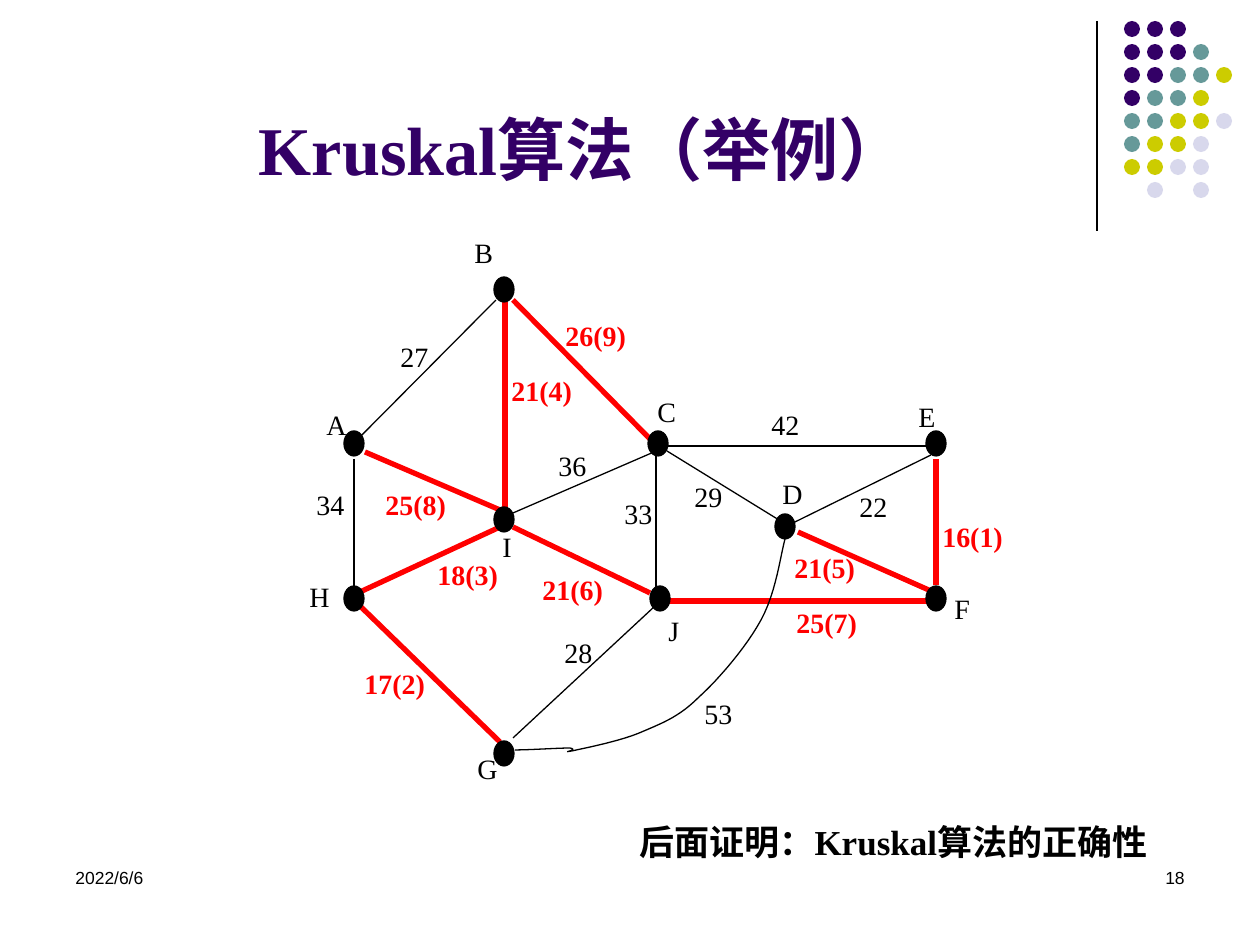
from lxml import etree
from pptx import Presentation
from pptx.dml.color import RGBColor
from pptx.enum.shapes import MSO_CONNECTOR, MSO_SHAPE
from pptx.enum.text import MSO_ANCHOR, PP_ALIGN
from pptx.oxml.ns import qn
from pptx.util import Emu, Pt

PX = 914400 // 126
OVAL, CALLOUT = MSO_SHAPE.OVAL, MSO_SHAPE.ROUNDED_RECTANGULAR_CALLOUT
STRAIGHT = MSO_CONNECTOR.STRAIGHT
LEFT, CENTER, RIGHT, JUSTIFY = PP_ALIGN.LEFT, PP_ALIGN.CENTER, PP_ALIGN.RIGHT, PP_ALIGN.JUSTIFY
TOP, BOTTOM = MSO_ANCHOR.TOP, MSO_ANCHOR.BOTTOM

SERIF, SANS = "Times New Roman", "Arial"
BLACK, RED, PURPLE = "000000", "FF0000", "330066"

# Dot pattern: one letter per dot, one string per row
DOT_COLORS = {"p": PURPLE, "t": "669999", "y": "CCCC00", "l": "D8D8EC"}
DOT_ROWS = ["ppp", "pppt", "pptty", "ptty", "ttyyl", "tyyl", "yyll", " l l"]
DOT_LEFT, DOT_TOP, DOT_PITCH, DOT_SIZE = 1124, 21, 23, 16

# Graph nodes: name, left and top of the dot, box of the name
NODE_WIDTH, NODE_HEIGHT = 20, 25
NODES = [
    ("A", (344, 431), (314, 401, 48, 57)),
    ("B", (494, 277), (462, 229, 87, 83)),
    ("C", (648, 431), (645, 388, 49, 49)),
    ("D", (775, 514), (770, 470, 55, 44)),
    ("E", (926, 431), (906, 393, 43, 44)),
    ("F", (926, 586), (942, 585, 40, 43)),
    ("G", (494, 741), (465, 745, 34, 49)),
    ("H", (344, 586), (297, 573, 45, 54)),
    ("I", (494, 507), (490, 523, 42, 50)),
    ("J", (650, 586), (656, 607, 42, 50)),
]

# Graph edges: weight (with its turn, if chosen for the tree), ends, box of the weight
EDGES = [
    ("27", (359, 438, 496, 300), (388, 333, 57, 52)),
    ("34", (354, 459, 354, 596), (304, 481, 54, 43)),
    ("26(9)", (513, 300, 651, 440), (553, 312, 125, 45)),
    ("17(2)", (360, 606, 500, 742), (352, 660, 112, 50)),
    ("28", (513, 738, 654, 607), (552, 629, 54, 52)),
    ("33", (656, 597, 656, 455), (612, 490, 59, 53)),
    ("25(8)", (365, 452, 500, 510), (373, 481, 88, 48)),
    ("18(3)", (360, 592, 500, 527), (425, 551, 96, 53)),
    ("36", (513, 513, 654, 452), (546, 442, 58, 54)),
    ("21(6)", (513, 527, 650, 593), (530, 566, 95, 50)),
    ("21(4)", (505, 302, 505, 510), (499, 367, 142, 54)),
    ("42", (667, 446, 926, 446), (759, 401, 66, 58)),
    ("25(7)", (669, 601, 929, 601), (784, 599, 93, 58)),
    ("16(1)", (936, 585, 936, 459), (930, 513, 103, 48)),
    ("29", (667, 451, 779, 520), (682, 473, 106, 92)),
    ("22", (793, 523, 931, 455), (847, 483, 54, 52)),
    ("21(5)", (798, 532, 931, 591), (782, 544, 95, 42)),
]

# Curved edge from D to G: start, then two control points and an end per segment
CURVE_LABEL = ("53", (692, 690, 63, 57))
CURVE_START = (785, 539)
CURVE_SEGMENTS = [
    ((781, 553), (776, 593), (761, 620)),
    ((747, 646), (719, 679), (699, 697)),
    ((680, 716), (665, 722), (644, 731)),
    ((622, 741), (585, 748), (572, 751)),
    ((559, 753), (580, 750), (570, 748)),
    ((561, 748), (527, 750), (515, 750)),
]
CURVE_STEPS = 12


def rgb(color):
    return RGBColor.from_string(color)


def px(*values):
    return [Emu(value * PX) for value in values]


def write(shape, text, size, color=BLACK, bold=False, font=SERIF,
          align=JUSTIFY, anchor=TOP, wrap=True):
    frame = shape.text_frame
    frame.text = text
    frame.word_wrap = wrap
    frame.vertical_anchor = anchor
    paragraph = frame.paragraphs[0]
    paragraph.alignment = align
    run_font = paragraph.runs[0].font
    run_font.name, run_font.size, run_font.bold = font, Pt(size), bold
    run_font.color.rgb = rgb(color)


def add_text(slide, box, text, size, **style):
    write(slide.shapes.add_textbox(*px(*box)), text, size, **style)


def add_line(slide, ends, color=BLACK, width=0.75):
    line = slide.shapes.add_connector(STRAIGHT, *px(*ends))
    line.line.color.rgb = rgb(color)
    line.line.width = Pt(width)
    etree.SubElement(line._element.spPr, qn("a:effectLst"))


def add_oval(slide, box, color, outlined=False):
    oval = slide.shapes.add_shape(OVAL, *px(*box))
    oval.shadow.inherit = False
    oval.fill.solid()
    oval.fill.fore_color.rgb = rgb(color)
    if outlined:
        oval.line.color.rgb = rgb(color)
        oval.line.width = Pt(0.75)
    else:
        oval.line.fill.background()


def curve_points(start, segments):
    """Points along a chain of cubic Bézier segments."""
    points = [start]
    for first, second, end in segments:
        for step in range(1, CURVE_STEPS + 1):
            t = step / CURVE_STEPS
            u = 1 - t
            points.append(tuple(
                u**3 * a + 3 * u * u * t * b + 3 * u * t * t * c + t**3 * d
                for a, b, c, d in zip(start, first, second, end)))
        start = end
    return points


def add_curve(slide):
    points = [(round(x * PX), round(y * PX))
              for x, y in curve_points(CURVE_START, CURVE_SEGMENTS)]
    builder = slide.shapes.build_freeform(*points[0])
    builder.add_line_segments(points[1:], close=False)
    curve = builder.convert_to_shape()
    curve.shadow.inherit = False
    curve.fill.background()
    curve.line.color.rgb = rgb(BLACK)
    curve.line.width = Pt(0.75)


def add_graph(slide):
    for weight, ends, box in EDGES:
        chosen = "(" in weight
        color = RED if chosen else BLACK
        add_line(slide, ends, color, 3 if chosen else 0.75)
        add_text(slide, box, weight, 16, color=color, bold=chosen)
    add_curve(slide)
    weight, box = CURVE_LABEL
    add_text(slide, box, weight, 16)
    for name, corner, box in NODES:
        add_text(slide, box, name, 16)
        add_oval(slide, (*corner, NODE_WIDTH, NODE_HEIGHT), BLACK, outlined=True)


def main():
    presentation = Presentation()
    presentation.slide_width, presentation.slide_height = px(1260, 945)
    slide = presentation.slides.add_slide(presentation.slide_layouts[6])

    # Corner decoration
    add_line(slide, (1097, 21, 1097, 231))
    for row, letters in enumerate(DOT_ROWS):
        for column, letter in enumerate(letters):
            if letter in DOT_COLORS:
                add_oval(slide, (DOT_LEFT + column * DOT_PITCH, DOT_TOP + row * DOT_PITCH,
                                 DOT_SIZE, DOT_SIZE), DOT_COLORS[letter])

    # Title and graph
    add_text(slide, (63, 16, 1040, 179), "Kruskal算法（举例）", 39,
             color=PURPLE, bold=True, align=CENTER, anchor=BOTTOM)
    add_graph(slide)

    # Closing remark
    remark = slide.shapes.add_shape(CALLOUT, *px(561, 810, 665, 89))
    for index, value in enumerate((-0.21, 0.63, 0.17)):
        remark.adjustments[index] = value
    remark.shadow.inherit = False
    remark.fill.background()
    remark.line.fill.background()
    write(remark, "后面证明：Kruskal算法的正确性", 20, bold=True, align=CENTER, wrap=False)

    # Footer
    add_text(slide, (63, 861, 294, 63), "2022/6/6", 10, font=SANS, align=LEFT)
    add_text(slide, (903, 861, 294, 63), "18", 10, font=SANS, align=RIGHT)

    presentation.save("out.pptx")


if __name__ == "__main__":
    main()
